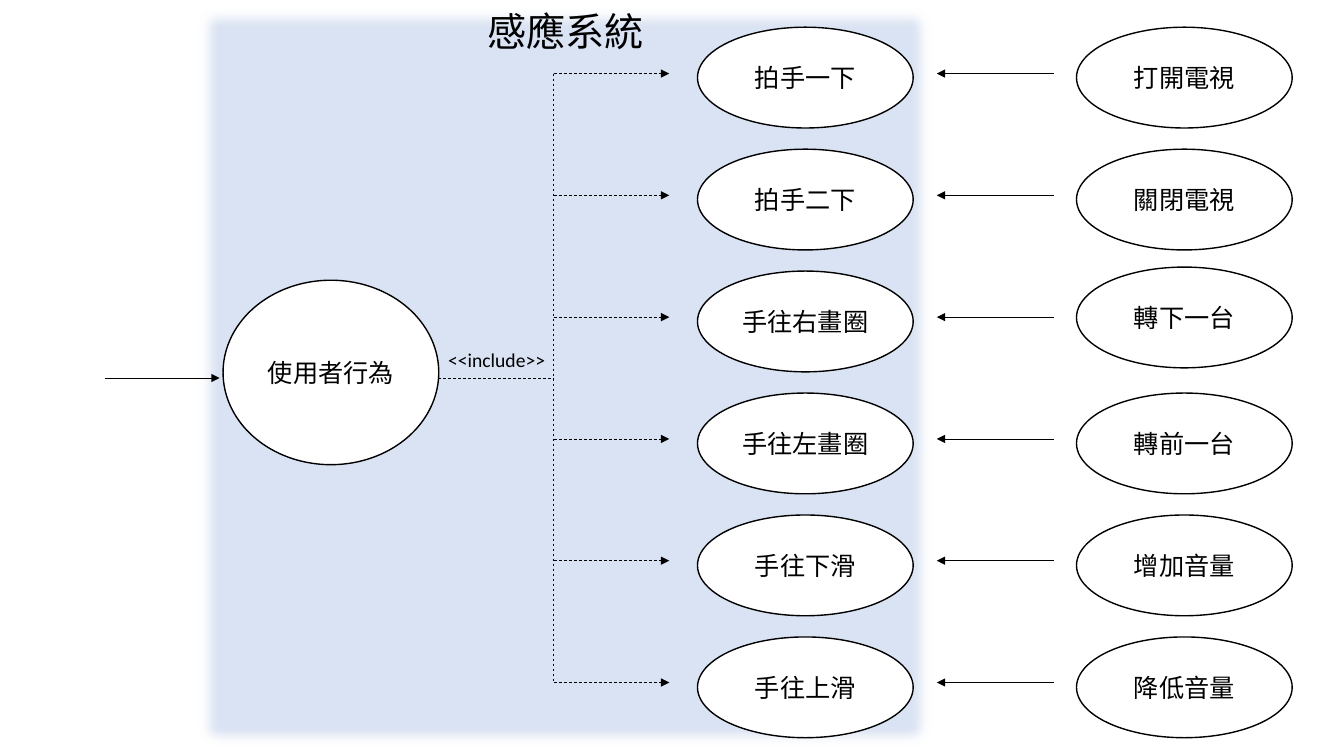
from lxml import etree
from pptx import Presentation, util as u
from pptx.dml import color
from pptx.enum import dml, shapes, text
from pptx.oxml import ns

presentation = Presentation()
presentation.slide_width = u.Inches(13.33)
presentation.slide_height = u.Inches(7.5)
column = presentation.slide_width / 100
row = presentation.slide_height / 100
slide = presentation.slides.add_slide(presentation.slide_layouts[5])
paint = color.RGBColor.from_string

GESTURES = ["拍手一下", "拍手二下", "手往右畫圈", "手往左畫圈", "手往下滑", "手往上滑"]
COMMANDS = ["打開電視", "關閉電視", "轉下一台", "轉前一台", "增加音量", "降低音量"]
COMMAND_SHIFTS = [0, 0, -0.53, 0, 0, 0]
BLACK, WHITE, PALE_BLUE = "000000", "FFFFFF", "DAE3F3"
OVAL_WIDTH, OVAL_HEIGHT = 16.05, 13.33
FIRST_OVAL, OVAL_STEP = 3.6, 16.13
ARROW_ROWS = [9.73 + 16.11 * index for index in range(6)]
TRUNK = 41.2


def write_text(shape, left, top, width, height, words, size, align):
    placement = {"left": left * column, "top": top * row, "width": width * column, "height": height * row}
    for name, value in placement.items():
        setattr(shape, name, round(value))
    frame = shape.text_frame
    layout = {"text": words, "word_wrap": align == text.PP_ALIGN.CENTER,
              "auto_size": text.MSO_AUTO_SIZE.NONE, "vertical_anchor": text.MSO_ANCHOR.MIDDLE}
    for name, value in layout.items():
        setattr(frame, name, value)
    paragraph = frame.paragraphs[0]
    paragraph.alignment = align
    for name, value in {"name": "Calibri", "size": u.Pt(size)}.items():
        setattr(paragraph.font, name, value)
    paragraph.font.color.rgb = paint(BLACK)


def add_line(start_x, start_y, end_x, end_y, dashed=False, arrow=None):
    line = slide.shapes.add_connector(
        shapes.MSO_CONNECTOR.STRAIGHT, round(start_x * column), round(start_y * row),
        round(end_x * column), round(end_y * row))
    line.line.width = u.Pt(0.5)
    line.line.color.rgb = paint(BLACK)
    if dashed:
        line.line.dash_style = dml.MSO_LINE.DASH
    if arrow:
        etree.SubElement(line.line._get_or_add_ln(), ns.qn("a:" + arrow), type="triangle")
    etree.SubElement(line._element.spPr, ns.qn("a:effectLst"))


panel = slide.shapes.add_shape(
    shapes.MSO_SHAPE.RECTANGLE, round(14.5 * column), round(0.53 * row),
    round(55.2 * column), round(98.93 * row))
panel.fill.solid()
panel.fill.fore_color.rgb = paint(PALE_BLUE)
panel.line.fill.background()
panel.shadow.inherit = False
effects = panel._element.spPr.find(ns.qn("a:effectLst"))
etree.SubElement(effects, ns.qn("a:softEdge"), rad=str(u.Pt(9)))

title = slide.shapes.title
title._element.addprevious(panel._element)
write_text(title, 14.5, 0.53, 55.2, 7, "感應系統", 28, text.PP_ALIGN.CENTER)

ovals = [("使用者行為", 16.6, 37.07, 24.4)]
for index, (gesture, command, shift) in enumerate(zip(GESTURES, COMMANDS, COMMAND_SHIFTS)):
    top = FIRST_OVAL + OVAL_STEP * index
    ovals.append((gesture, 51.9, top, OVAL_HEIGHT))
    ovals.append((command, 80.1, top + shift, OVAL_HEIGHT))

for words, left, top, height in ovals:
    oval = slide.shapes.add_shape(shapes.MSO_SHAPE.OVAL, 0, 0, 0, 0)
    oval.fill.solid()
    oval.fill.fore_color.rgb = paint(WHITE)
    oval.line.color.rgb = paint(BLACK)
    oval.line.width = u.Pt(1)
    oval.shadow.inherit = False
    write_text(oval, left, top, OVAL_WIDTH, height, words, 18, text.PP_ALIGN.CENTER)

for arrow_row in ARROW_ROWS:
    add_line(TRUNK, arrow_row, 49.8, arrow_row, dashed=True, arrow="tailEnd")
    add_line(69.7, arrow_row, 78.4, arrow_row, arrow="headEnd")
add_line(TRUNK, ARROW_ROWS[0], TRUNK, ARROW_ROWS[-1], dashed=True)
add_line(32.6, 50, TRUNK, 50, dashed=True)
add_line(7.8, 50, 16.35, 50, arrow="tailEnd")

label = slide.shapes.add_textbox(0, 0, 0, 0)
write_text(label, 32.6, 45.33, 8.85, 4.5, "<<include>>", 14, text.PP_ALIGN.LEFT)

presentation.save("out.pptx")
